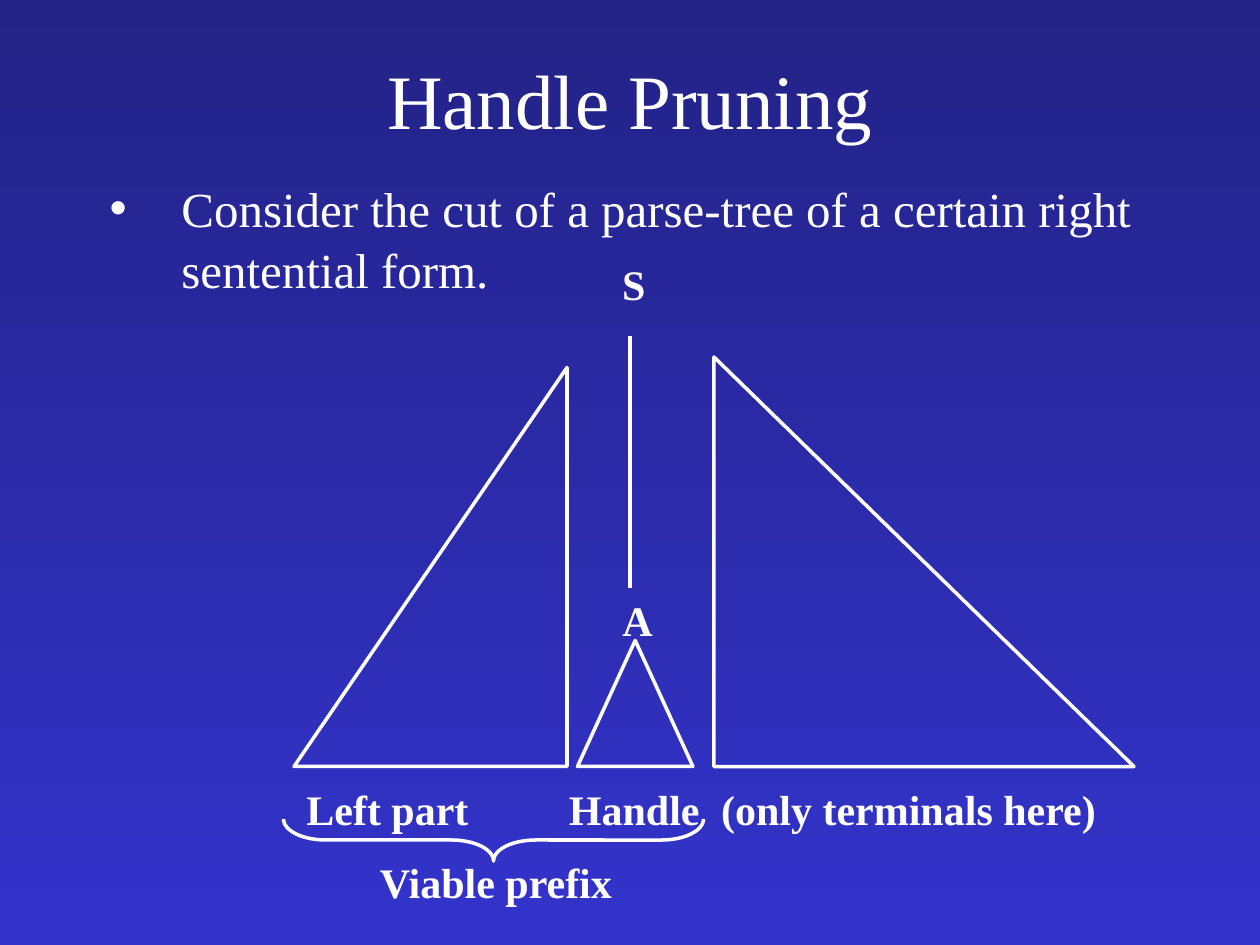
from lxml.etree import SubElement
from pptx import Presentation
from pptx.dml.color import RGBColor
from pptx.enum.shapes import MSO_CONNECTOR, MSO_SHAPE
from pptx.enum.text import MSO_ANCHOR, MSO_AUTO_SIZE, PP_ALIGN
from pptx.oxml.ns import qn
from pptx.util import Pt

COLORS = {"top": "222286", "bottom": "3333CC", "ink": "FFFFFF"}
FONT = "Times New Roman"
TITLE_FORMAT = {"size": Pt(44), "bold": False, "name": FONT}
BODY_FORMAT = {"size": Pt(28), "bold": False, "name": FONT}
LABEL_FORMAT = {"size": Pt(24), "bold": True, "name": FONT}
LINE_WIDTH = 2


def color(name):
    return RGBColor.from_string(COLORS[name])


def place(shape, left, top, width, height):
    shape.left, shape.top = Pt(left), Pt(top)
    shape.width, shape.height = Pt(width), Pt(height)


def format_font(paragraph, values):
    for run in paragraph.runs:
        for name, value in values.items():
            setattr(run.font, name, value)
        run.font.color.rgb = color("ink")


def paint_background(slide):
    fill = slide.background.fill
    fill.gradient()
    fill.gradient_angle = 270
    for stop, name in zip(fill.gradient_stops, ("top", "bottom")):
        stop.color.rgb = color(name)


def fill_placeholder(shape, text, box, values, anchor):
    """Write one paragraph in a placeholder and return that paragraph."""
    place(shape, *box)
    frame = shape.text_frame
    frame.text = text
    frame.auto_size = MSO_AUTO_SIZE.NONE
    frame.vertical_anchor = anchor
    paragraph = frame.paragraphs[0]
    paragraph.space_before = Pt(0)
    format_font(paragraph, values)
    return paragraph


def add_bullet(paragraph, indent):
    properties = paragraph._p.get_or_add_pPr()
    properties.set("marL", str(Pt(indent)))
    properties.set("indent", str(-Pt(indent)))
    SubElement(properties, qn("a:buChar"), char="•")


def add_label(slide, text, left, top, width, tab_stops=()):
    box = slide.shapes.add_textbox(Pt(left), Pt(top), Pt(width), Pt(36))
    frame = box.text_frame
    frame.text = text
    frame.word_wrap = False
    frame.auto_size = MSO_AUTO_SIZE.SHAPE_TO_FIT_TEXT
    paragraph = frame.paragraphs[0]
    if tab_stops:
        tabs = SubElement(paragraph._p.get_or_add_pPr(), qn("a:tabLst"))
        for position in tab_stops:
            SubElement(tabs, qn("a:tab"), pos=str(Pt(position)), algn="l")
    format_font(paragraph, LABEL_FORMAT)


def add_outline(slide, kind, box, adjustments, rotation=0):
    shape = slide.shapes.add_shape(kind, *map(Pt, box))
    shape.shadow.inherit = False
    shape.rotation = rotation
    for index, value in enumerate(adjustments):
        shape.adjustments[index] = value
    shape.fill.background()
    shape.line.color.rgb = color("ink")
    shape.line.width = Pt(LINE_WIDTH)


def add_line(slide, *ends):
    line = slide.shapes.add_connector(MSO_CONNECTOR.STRAIGHT, *map(Pt, ends))
    line.line.color.rgb = color("ink")
    line.line.width = Pt(LINE_WIDTH)
    SubElement(line._element.spPr, qn("a:effectLst"))


def main():
    presentation = Presentation()
    presentation.slide_width, presentation.slide_height = Pt(720), Pt(540)
    slide = presentation.slides.add_slide(presentation.slide_layouts[1])
    paint_background(slide)

    title, body = slide.placeholders
    heading = fill_placeholder(title, "Handle Pruning", (54, 11.5, 612, 90),
                               TITLE_FORMAT, MSO_ANCHOR.MIDDLE)
    heading.alignment = PP_ALIGN.CENTER
    statement = fill_placeholder(
        body,
        "Consider the cut of a parse-tree of a certain right sentential form.",
        (55.5, 96.5, 612, 324), BODY_FORMAT, MSO_ANCHOR.TOP)
    statement.line_spacing = 1.05
    add_bullet(statement, 41)

    add_line(slide, 360, 192, 360, 336)
    add_label(slide, "S", 348.5, 144, 27.5)
    add_label(slide, "A", 348.5, 336, 31.5)

    # Each triangle stands on the base line; the adjustment places its apex
    base = 438
    for left, top, width, apex in ((330, 366, 66, 0.5),
                                   (408, 204, 240, 0),
                                   (168, 210, 156, 1)):
        add_outline(slide, MSO_SHAPE.ISOSCELES_TRIANGLE,
                    (left, top, width, base - top), (apex,))

    add_label(slide, "Left part\tHandle\t(only terminals here)",
              168, 444, 466, tab_stops=(150, 237))
    add_outline(slide, MSO_SHAPE.RIGHT_BRACE, (270, 360, 24, 240), (1, 0.5),
                rotation=90)
    add_label(slide, "Viable prefix", 210, 486, 148)

    presentation.save("out.pptx")


if __name__ == "__main__":
    main()
